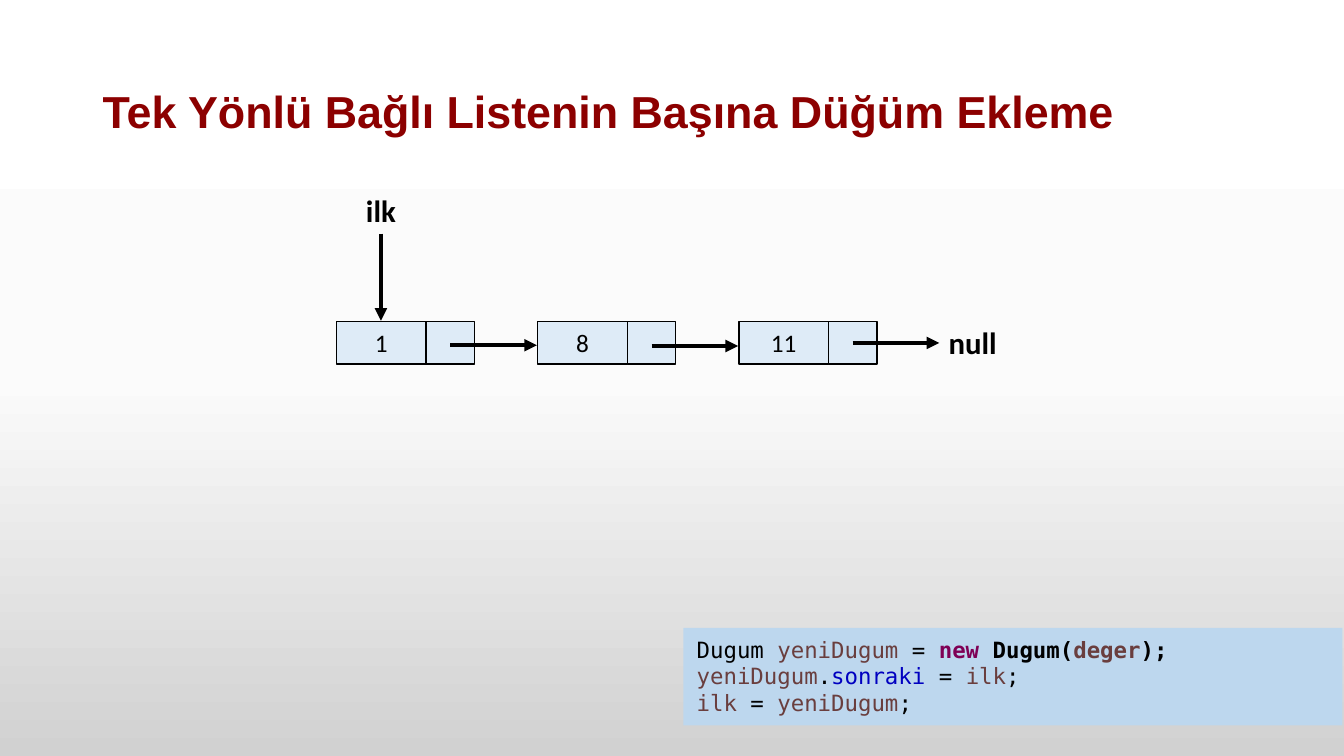
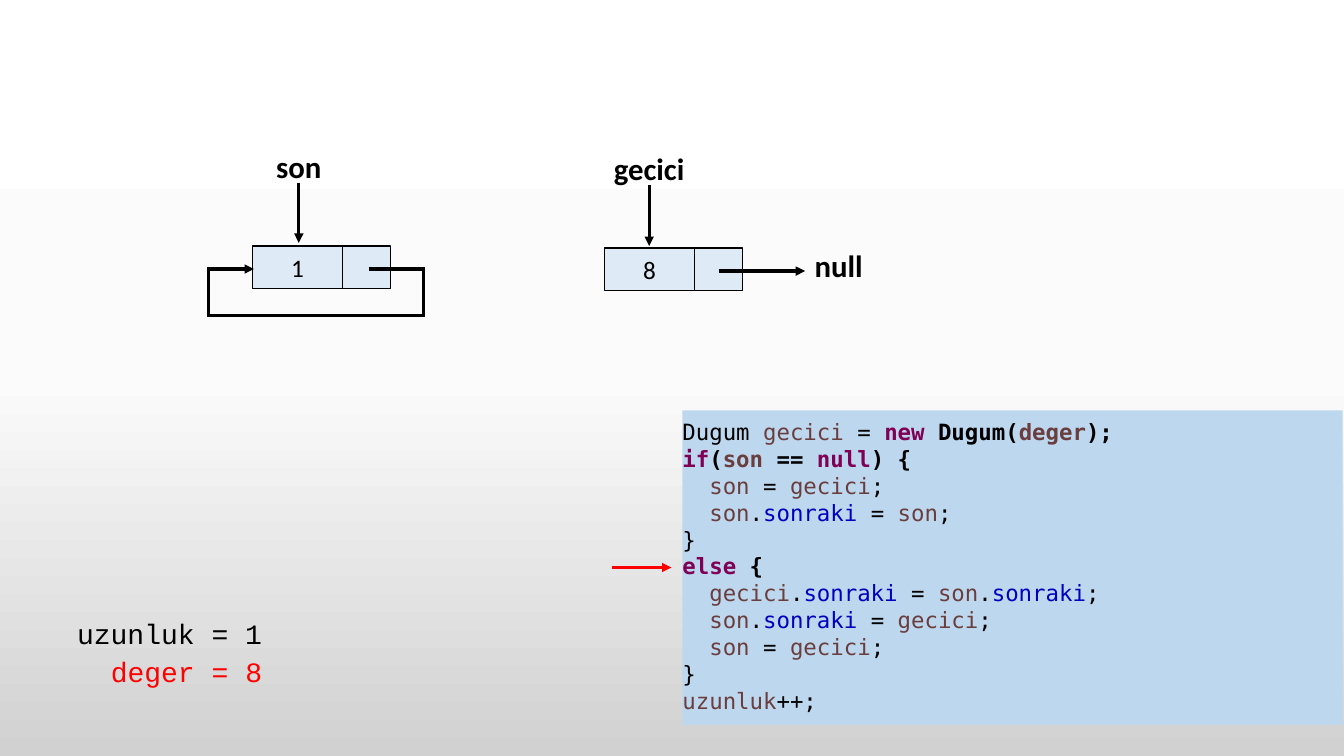
from itertools import groupby

from lxml import etree
from pptx import Presentation
from pptx import util as u
from pptx.dml.color import RGBColor
from pptx.enum import shapes, text
from pptx.oxml.ns import qn


class Theme:
    black, red, title = "000000", "FF0000", "8C0000"
    cell, panel = "DEEBF7", "BDD7EE"
    keyword, field, variable = "7F0055", "0000C0", "6A3E3E"
    background = ((0, "FFFFFF"), (50, "FBFBFB"), (100, "D1D1D1"))
    title_size, label_size, state_size, value_size, code_size = 32, 22, 20, 18, 16
    title_font, label_font = "Arial", "Calibri"
    state_font, code_font = "Courier New", "DejaVu Sans Mono"


KEYWORDS = {"new", "if", "else", "null"}
CODE_COLORS = {**dict.fromkeys(KEYWORDS, Theme.keyword),
               "sonraki": Theme.field, "Dugum": Theme.black}
LEFT, CENTER, RIGHT = text.PP_ALIGN.LEFT, text.PP_ALIGN.CENTER, text.PP_ALIGN.RIGHT
TOP, MIDDLE = text.MSO_ANCHOR.TOP, text.MSO_ANCHOR.MIDDLE


def write(slide, content, place, holder=None, fill=None, border=None, size=Theme.label_size,
          font=Theme.label_font, color=Theme.black, bold=False, align=CENTER,
          anchor=TOP, wrap=False, spacing=None, code=False):
    """Write text in a placeholder, a filled box or a text box placed in cm."""
    place = [u.Cm(length) for length in place]
    if holder:
        box = holder
        box.left, box.top, box.width, box.height = place
    elif fill:
        box = slide.shapes.add_shape(shapes.MSO_SHAPE.RECTANGLE, *place)
        box.shadow.inherit = False
        box.fill.solid()
        box.fill.fore_color.rgb = RGBColor.from_string(fill)
        if border:
            box.line.color.rgb = RGBColor.from_string(border)
            box.line.width = u.Pt(1)
        else:
            box.line.fill.background()
    else:
        box = slide.shapes.add_textbox(*place)

    frame = box.text_frame
    frame.auto_size = text.MSO_AUTO_SIZE.NONE
    frame.word_wrap = wrap
    frame.vertical_anchor = anchor
    if code:
        frame.margin_left = frame.margin_right = 0
        frame.margin_top = frame.margin_bottom = u.Cm(0.2)
    for number, line in enumerate(content.split("\n")):
        paragraph = frame.paragraphs[0] if number == 0 else frame.add_paragraph()
        paragraph.alignment = align
        if spacing:
            paragraph.line_spacing = spacing
        pieces = ["".join(part) for _, part in groupby(line, str.isalnum)] if code else [line]
        strong = bold
        for piece in pieces:
            run = paragraph.add_run()
            run.text = piece
            ink = color
            if code:
                # A keyword makes the rest of its line bold
                strong = strong or piece in KEYWORDS
                ink = CODE_COLORS.get(piece, Theme.variable if piece.isalnum() else color)
            run.font.name, run.font.size, run.font.bold = font, u.Pt(size), strong
            run.font.color.rgb = RGBColor.from_string(ink)


def arrow(slide, *points, color=Theme.black, width=2.25):
    """Draw a straight or bent arrow through points given in cm."""
    points = [(u.Cm(x), u.Cm(y)) for x, y in points]
    if len(points) == 2:
        line = slide.shapes.add_connector(shapes.MSO_CONNECTOR.STRAIGHT, *points[0], *points[1])
    else:
        builder = slide.shapes.build_freeform(*points[0])
        builder.add_line_segments(points[1:], close=False)
        line = builder.convert_to_shape()
        line.fill.background()
    line.line.color.rgb = RGBColor.from_string(color)
    line.line.width = u.Pt(width)
    properties = line.element.spPr
    outline = properties.find(qn("a:ln"))
    etree.SubElement(outline, qn("a:miter"), lim="800000")
    etree.SubElement(outline, qn("a:tailEnd"), type="triangle")
    etree.SubElement(properties, qn("a:effectLst"))


# Presentation and shared background
prs = Presentation()
prs.slide_width, prs.slide_height = u.Cm(33.87), u.Cm(19.05)
backdrop = prs.slide_master.background.fill
backdrop.gradient()
backdrop.gradient_angle = 270
stops = prs.slide_master.element.find(".//" + qn("a:gsLst"))
for old_stop in list(stops):
    stops.remove(old_stop)
for percent, shade in Theme.background:
    stop = etree.SubElement(stops, qn("a:gs"), pos=str(percent * 1000))
    etree.SubElement(stop, qn("a:srgbClr"), val=shade)

head_insert = prs.slides.add_slide(prs.slide_layouts[5])
circular_insert = prs.slides.add_slide(prs.slide_layouts[6])

# Title
write(head_insert, "Tek Yönlü Bağlı Listenin Başına Düğüm Ekleme", (2.33, 1.02, 29.21, 3.68),
      holder=head_insert.shapes.title, size=Theme.title_size, font=Theme.title_font,
      color=Theme.title, bold=True, align=LEFT, anchor=MIDDLE, wrap=True, spacing=0.9)

# Code panels
head_code = """\
 Dugum yeniDugum = new Dugum(deger);
 yeniDugum.sonraki = ilk;
 ilk = yeniDugum;"""
circular_code = """\
Dugum gecici = new Dugum(deger);
if(son == null) {
  son = gecici;
  son.sonraki = son;
}
else {
  gecici.sonraki = son.sonraki;
  son.sonraki = gecici;
  son = gecici;
}
uzunluk++;"""
for slide, code, place in (
    (head_insert, head_code, (17.22, 15.82, 16.61, 2.46)),
    (circular_insert, circular_code, (17.2, 10.34, 16.64, 7.92)),
):
    write(slide, code, place, fill=Theme.panel, size=Theme.code_size, font=Theme.code_font,
          align=LEFT, wrap=True, code=True)

# List nodes: value cell, next cell and the link leaving it (link_drop below the node top)
VALUE_WIDTH, NEXT_WIDTH, NODE_HEIGHT, LINK_LENGTH = 2.26, 1.22, 1.07, 2.18
FIRST_NODE, NODE_STEP = 8.48, 5.07
head_nodes = [(head_insert, value, FIRST_NODE + i * NODE_STEP, 8.1, drop, 3)
              for i, (value, drop) in enumerate((("1", 0.6), ("8", 0.62), ("11", 0.54)))]
circular_nodes = [(circular_insert, "1", 6.37, 6.2, None, 2.25),
                  (circular_insert, "8", 15.24, 6.25, 0.58, 2.25)]
for slide, value, x, y, link_drop, width in head_nodes + circular_nodes:
    for content, left, cell_width in ((value, x, VALUE_WIDTH), ("", x + VALUE_WIDTH, NEXT_WIDTH)):
        write(slide, content, (left, y, cell_width, NODE_HEIGHT), fill=Theme.cell,
              border=Theme.black, size=Theme.value_size, anchor=MIDDLE, wrap=True)
    if link_drop:
        start = x + VALUE_WIDTH + NEXT_WIDTH / 2
        arrow(slide, (start, y + link_drop), (start + LINK_LENGTH, y + link_drop), width=width)

# Link from the only circular node back to itself
arrow(circular_insert, (9.3, 6.78), (10.67, 6.78), (10.67, 7.95),
      (5.26, 7.95), (5.26, 6.78), (6.4, 6.78))

# Reference names and the pointers below them
LABEL_HEIGHT = 1.19
for slide, name, center, top, label_width, tail, tip, width in (
    (head_insert, "ilk", 9.6, 4.7, 1.27, 5.89, 8.08, 3),
    (circular_insert, "son", 7.53, 3.61, 1.68, 4.62, 6.12, 2.25),
    (circular_insert, "gecici", 16.36, 3.66, 2.31, 4.67, 6.2, 2.25),
):
    write(slide, name, (center - label_width / 2, top, label_width, LABEL_HEIGHT), bold=True)
    arrow(slide, (center, tail), (center, tip), width=width)

# List ends
for slide, x, y in ((head_insert, 23.65, 8.03), (circular_insert, 20.27, 6.1)):
    write(slide, "null", (x, y, 1.73, LABEL_HEIGHT), bold=True)

# Variable state and the current code line
STATE_RIGHT = 6.86
for state, top, state_width, color in (("uzunluk = 1", 15.42, 5.21, Theme.black),
                                       ("deger = 8", 16.36, 4.37, Theme.red)):
    write(circular_insert, state, (STATE_RIGHT - state_width, top, state_width, 1.12),
          size=Theme.state_size, font=Theme.state_font, color=color, align=RIGHT)
arrow(circular_insert, (15.42, 14.3), (16.92, 14.3), color=Theme.red)

prs.save("out.pptx")
